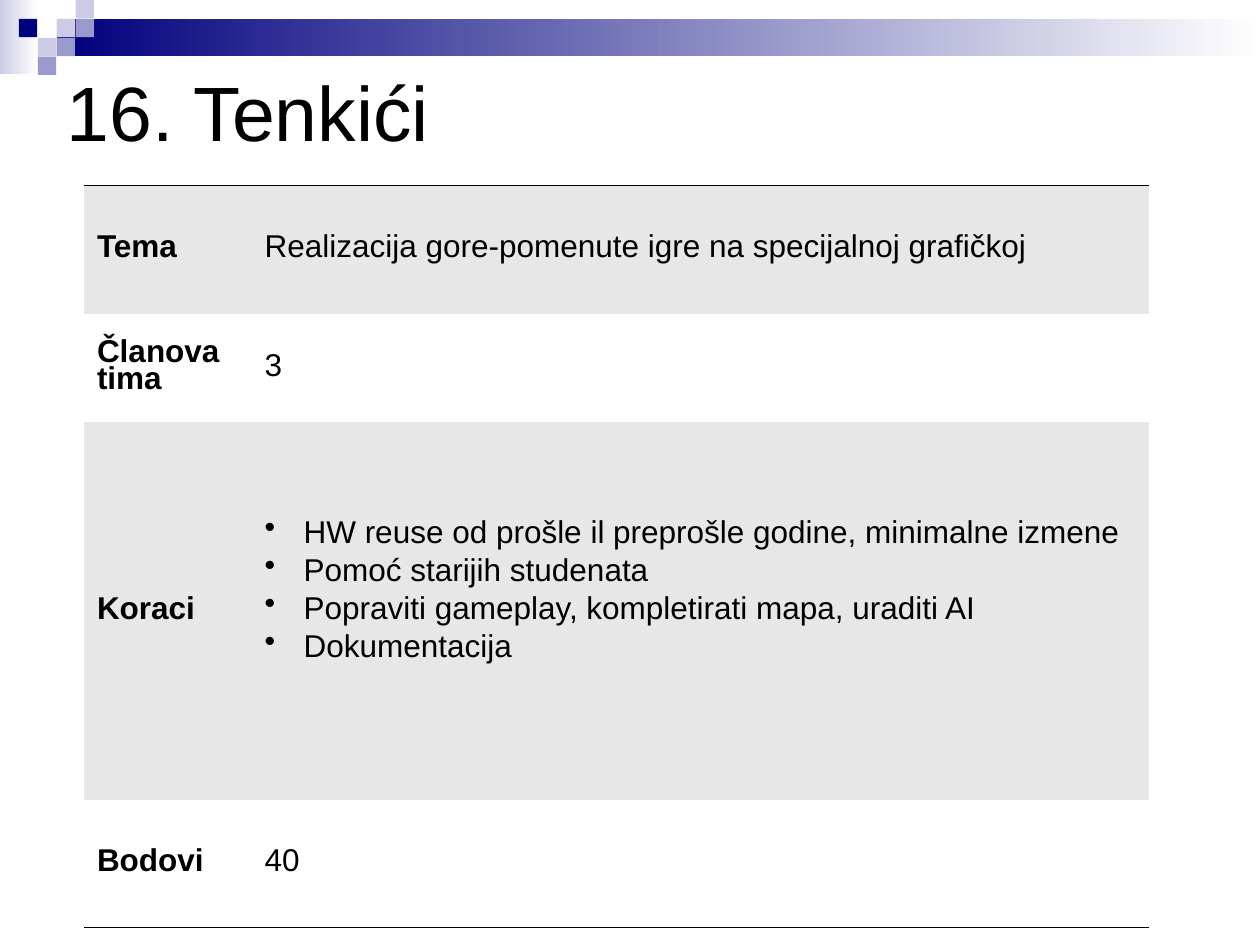
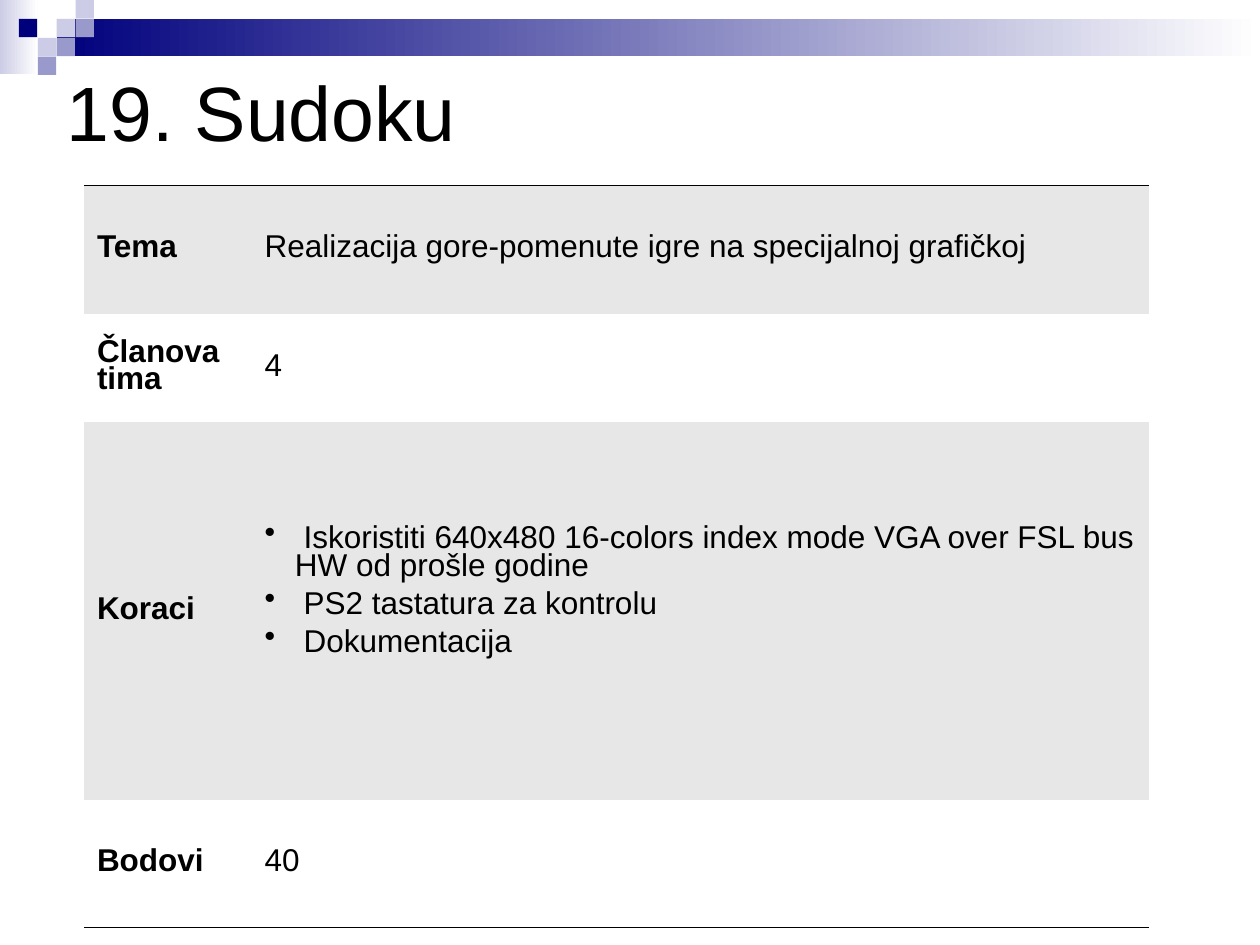
from dataclasses import dataclass

from lxml import etree
from pptx import Presentation, util as u
from pptx.dml.color import RGBColor
from pptx.enum import shapes, text
from pptx.oxml import ns


@dataclass(frozen=True)
class Theme:
    font: str = "Arial"
    ink: str = "000000"
    paper: str = "FFFFFF"
    navy: str = "00007D"
    mid: str = "9999CC"
    pale: str = "CCCCE6"
    band: str = "E7E7E7"
    head: int = 44
    body: int = 18
    lead: float = 0.78
    after: int = 6
    rule: float = 0.06
    unit: float = 0.15  # side of one square in the corner mosaic


T = Theme()
WIDTH, HEIGHT = 10, 7.5
COLS = [1.33, 7.12]
ROWS = [1.02, 0.86, 3, 1.01]
LABELS = ["Tema", "Članova tima", "Koraci", "Bodovi"]
TOPIC = "Realizacija gore-pomenute igre na specijalnoj grafičkoj"

# column, row and colour of each mosaic square
MOSAIC = [
    (3, 1, T.pale), (4, 0, T.pale), (4, 1, T.mid), (2, 2, T.pale),
    (1, 1, T.navy), (3, 2, T.mid), (2, 3, T.mid),
]

TASKS = [
    ("16. Tenkići", "3", [
        " HW reuse od prošle il preprošle godine, minimalne izmene",
        " Pomoć starijih studenata",
        " Popraviti gameplay, kompletirati mapa, uraditi AI",
        " Dokumentacija",
    ], "40"),
    ("19. Sudoku", "4", [
        " Iskoristiti 640x480 16-colors index mode VGA over FSL bus "
        "HW od prošle godine",
        " PS2 tastatura za kontrolu",
        " Dokumentacija",
    ], "40"),
]


def color(code):
    return RGBColor.from_string(code)


def add_run(para, words, size, bold=False):
    run = para.add_run()
    run.text = words
    run.font.name = T.font
    run.font.size = u.Pt(size)
    run.font.bold = bold
    run.font.color.rgb = color(T.ink)


def add_rect(slide, col, row, wide, high, *tints):
    """Place a box on the mosaic grid; two tints make a gradient."""
    box = slide.shapes.add_shape(
        shapes.MSO_SHAPE.RECTANGLE,
        *(u.Inches(n * T.unit) for n in (col, row, wide, high)))
    box.shadow.inherit = False
    box.line.fill.background()
    if len(tints) == 1:
        box.fill.solid()
        box.fill.fore_color.rgb = color(tints[0])
    else:
        box.fill.gradient()
        box.fill.gradient_angle = 0
        for stop, tint in zip(box.fill.gradient_stops, tints):
            stop.color.rgb = color(tint)


def add_band(slide):
    add_rect(slide, 0, 0, 2, 3.9, T.pale, T.paper)
    add_rect(slide, 3, 1, WIDTH / T.unit - 3, 1.95, T.navy, T.paper)
    for col, row, tint in MOSAIC:
        add_rect(slide, col, row, 0.97, 0.97, tint)


def add_title(slide, words):
    box = slide.shapes.add_textbox(
        u.Inches(0.043 * WIDTH), u.Inches(0.017 * HEIGHT),
        u.Inches(0.9 * WIDTH), u.Inches(0.2 * HEIGHT))
    frame = box.text_frame
    frame.word_wrap = True
    frame.vertical_anchor = text.MSO_ANCHOR.MIDDLE
    add_run(frame.paragraphs[0], words, T.head)


def set_edges(cell, ruled):
    """Rule the named edges of a cell and clear the rest."""
    props = cell._tc.get_or_add_tcPr()
    for side in "LRTB":
        line = etree.SubElement(props, ns.qn(f"a:ln{side}"))
        if side in ruled:
            line.set("w", str(u.Pt(T.rule)))
            fill = etree.SubElement(line, ns.qn("a:solidFill"))
            etree.SubElement(fill, ns.qn("a:srgbClr"), val=T.ink)
        else:
            etree.SubElement(line, ns.qn("a:noFill"))


def set_bullet(para):
    props = para._p.get_or_add_pPr()
    hang = u.Inches(0.24)
    props.set("marL", str(hang))
    props.set("indent", str(-hang))
    etree.SubElement(props, ns.qn("a:buChar"), char="•")
    para.space_after = u.Pt(T.after)


def fill_cell(cell, words, bold):
    """Write a string, or a list of strings as bullets."""
    cell.vertical_anchor = text.MSO_ANCHOR.MIDDLE
    items = words if isinstance(words, list) else [words]
    frame = cell.text_frame
    for n, item in enumerate(items):
        para = frame.add_paragraph() if n else frame.paragraphs[0]
        if items is words:
            set_bullet(para)
            cell.margin_bottom = u.Inches(0.35)
        para.line_spacing = T.lead
        add_run(para, item, T.body, bold)


def add_grid(slide, values):
    table = slide.shapes.add_table(
        len(ROWS), len(COLS), u.Inches(0.067 * WIDTH),
        u.Inches(0.196 * HEIGHT), u.Inches(sum(COLS)),
        u.Inches(sum(ROWS))).table
    table.first_row = table.horz_banding = False
    for col, wide in zip(table.columns, COLS):
        col.width = u.Inches(wide)
    for n, (row, high) in enumerate(zip(table.rows, ROWS)):
        row.height = u.Inches(high)
        ruled = {0: "T", len(ROWS) - 1: "B"}.get(n, "")
        for k, words in enumerate((LABELS[n], values[n])):
            cell = table.cell(n, k)
            set_edges(cell, ruled)
            cell.fill.solid()
            cell.fill.fore_color.rgb = color(T.paper if n % 2 else T.band)
            fill_cell(cell, words, bold=k == 0)


def main():
    deck = Presentation()
    deck.slide_width = u.Inches(WIDTH)
    deck.slide_height = u.Inches(HEIGHT)
    for title, team, steps, points in TASKS:
        slide = deck.slides.add_slide(deck.slide_layouts[6])
        add_band(slide)
        add_title(slide, title)
        add_grid(slide, [TOPIC, team, steps, points])
    deck.save("out.pptx")


if __name__ == "__main__":
    main()
